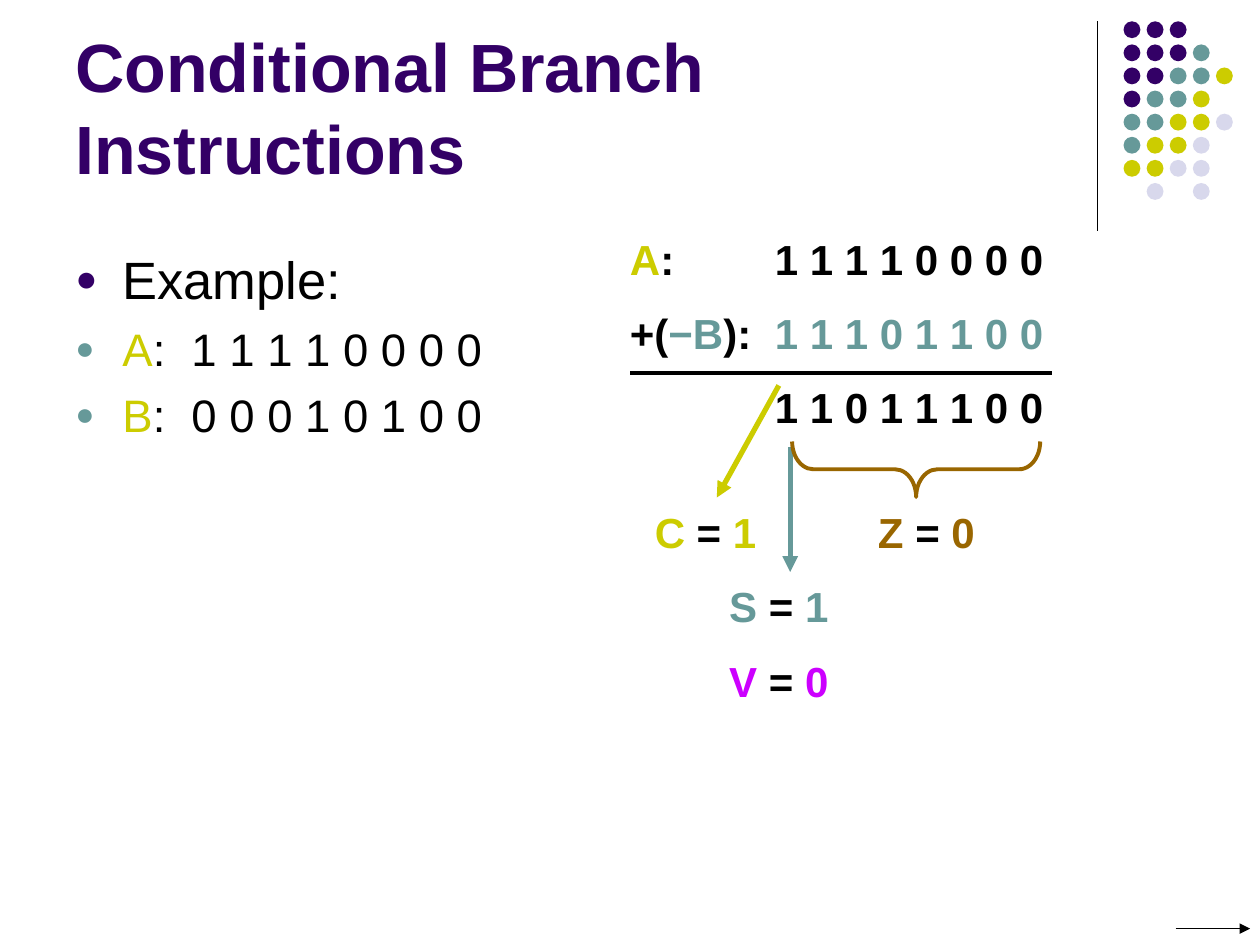
from lxml.etree import SubElement as Sub
from pptx import Presentation
from pptx.dml.color import RGBColor as Rgb
from pptx.enum.shapes import MSO_CONNECTOR as Link, MSO_SHAPE as Form
from pptx.enum.text import MSO_ANCHOR as Anchor
from pptx.oxml.ns import qn
from pptx.util import Cm, Pt

HUES = {
    "ink": "000000", "plum": "330066", "teal": "669999", "lime": "CCCC00",
    "mist": "D8D8EC", "pink": "CC00FF", "rust": "996600",
}
DOTS = ("ppp", "pppt", "ppttl", "pttl", "ttllm", "tllm", "llmm", ".m.m")
KEYS = {"p": "plum", "t": "teal", "l": "lime", "m": "mist"}


class Board:
    """Hold the style and the current slide, and draw each kind of element."""

    font = "Arial"

    def __init__(self, deck):
        self.slide = deck.slides.add_slide(deck.slide_layouts[6])
        self.shapes = self.slide.shapes

    def hue(self, name):
        return Rgb.from_string(HUES[name])

    def frame(self, x, y, w, h, anchor, pad=(0, 0)):
        frame = self.shapes.add_textbox(Cm(x), Cm(y), Cm(w), Cm(h)).text_frame
        style = {
            "word_wrap": True, "vertical_anchor": anchor,
            "margin_left": Cm(pad[0]), "margin_right": Cm(pad[0]),
            "margin_top": Cm(pad[1]), "margin_bottom": Cm(pad[1]),
        }
        for key, value in style.items():
            setattr(frame, key, value)
        return frame

    def words(self, para, runs, size, bold=False):
        for text, name in runs:
            run = para.add_run()
            run.text = text
            style = {"name": self.font, "size": Pt(size), "bold": bold}
            for key, value in style.items():
                setattr(run.font, key, value)
            run.font.color.rgb = self.hue(name)

    def tab(self, para, at):
        tabs = Sub(para._p.get_or_add_pPr(), qn("a:tabLst"))
        Sub(tabs, qn("a:tab"), pos=str(Cm(at)), algn="l")

    def bullet(self, para, name):
        props = para._p.get_or_add_pPr()
        props.set("marL", str(Cm(0.95)))
        props.set("indent", str(-Cm(0.95)))
        Sub(Sub(props, qn("a:buClr")), qn("a:srgbClr"), val=HUES[name])
        Sub(props, qn("a:buSzPct"), val="70000")
        Sub(props, qn("a:buFont"), typeface=self.font)
        Sub(props, qn("a:buChar"), char="●")

    def title(self, text):
        frame = self.frame(1.27, 0.33, 20.95, 3.6, Anchor.BOTTOM, (0.25, 0.13))
        self.words(frame.paragraphs[0], [(text, "plum")], 39, True)

    def body(self, items):
        frame = self.frame(1.27, 4.85, 10.8, 6.1, Anchor.TOP, (0.25, 0.13))
        for i, (runs, size, name) in enumerate(items):
            para = frame.add_paragraph() if i else frame.paragraphs[0]
            self.bullet(para, name)
            if i:
                para.space_before = Pt(6.5)
                self.tab(para, 2.34)
            self.words(para, runs, size)

    def label(self, x, y, w, runs, tab=None):
        para = self.frame(x, y, w, 1.5, Anchor.MIDDLE).paragraphs[0]
        para.line_spacing = 0.9
        if tab:
            self.tab(para, tab)
        self.words(para, runs, 24, True)

    def line(self, x, y, to_x, to_y, name, width, arrow=False):
        link = self.shapes.add_connector(
            Link.STRAIGHT, Cm(x), Cm(y), Cm(to_x), Cm(to_y))
        link.line.color.rgb = self.hue(name)
        link.line.width = Pt(width)
        props = link._element.spPr
        if arrow:
            Sub(props.find(qn("a:ln")), qn("a:tailEnd"), type="triangle")
        Sub(props, qn("a:effectLst"))

    def dot(self, x, y, name):
        dot = self.shapes.add_shape(Form.OVAL, Cm(x), Cm(y), Cm(0.34), Cm(0.34))
        dot.shadow.inherit = False
        dot.fill.solid()
        dot.fill.fore_color.rgb = self.hue(name)
        dot.line.fill.background()

    def brace(self, x, y, w, h, name):
        brace = self.shapes.add_shape(
            Form.LEFT_BRACE, Cm(x), Cm(y), Cm(w), Cm(h))
        brace.shadow.inherit = False
        brace.rotation = 270
        brace.adjustments[0] = 0.38
        brace.fill.background()
        brace.line.color.rgb = self.hue(name)
        brace.line.width = Pt(2.25)


def main():
    deck = Presentation()
    deck.slide_width, deck.slide_height = Cm(25.4), Cm(19.05)
    board = Board(deck)

    board.line(22.12, 0.43, 22.12, 4.65, "ink", 0.75)
    step = 3.26 / 7
    for i, row in enumerate(DOTS):
        for j, key in enumerate(row):
            if key in KEYS:
                board.dot(22.65 + j * step, 0.43 + i * step, KEYS[key])

    board.title("Conditional Branch Instructions")
    board.body([
        ([("Example:", "ink")], 30, "plum"),
        ([("A", "lime"), (":\t1 1 1 1 0 0 0 0", "ink")], 26, "teal"),
        ([("B", "lime"), (":\t0 0 0 1 0 1 0 0", "ink")], 26, "teal"),
    ])

    sums = (
        [("A", "lime"), (":\t1 1 1 1 0 0 0 0", "ink")],
        [("+(", "ink"), ("−B", "teal"), ("):", "ink"),
         ("\t1 1 1 0 1 1 0 0", "teal")],
        [("\t1 1 0 1 1 1 0 0", "ink")],
    )
    for i, runs in enumerate(sums):
        board.label(12.7, 4.52 + 1.5 * i, 8.5, runs, 2.92)
    board.line(12.7, 7.52, 21.2, 7.52, "ink", 2.25)

    flags = (
        ("C", "1", 13.2, 10.03, "lime"),
        ("S", "1", 14.7, 11.53, "teal"),
        ("V", "0", 14.7, 13.03, "pink"),
        ("Z", "0", 17.7, 10.03, "rust"),
    )
    for flag, bit, x, y, name in flags:
        board.label(x, y, 2.5, [(flag, name), (" = ", "ink"), (bit, name)])
    board.line(15.7, 7.77, 14.45, 10.03, "lime", 3, True)
    board.line(15.93, 9.02, 15.93, 11.53, "teal", 3, True)
    board.brace(17.91, 6.96, 1.12, 5, "rust")
    board.line(23.7, 18.72, 25.2, 18.72, "ink", 0.75, True)

    deck.save("out.pptx")


if __name__ == "__main__":
    main()
